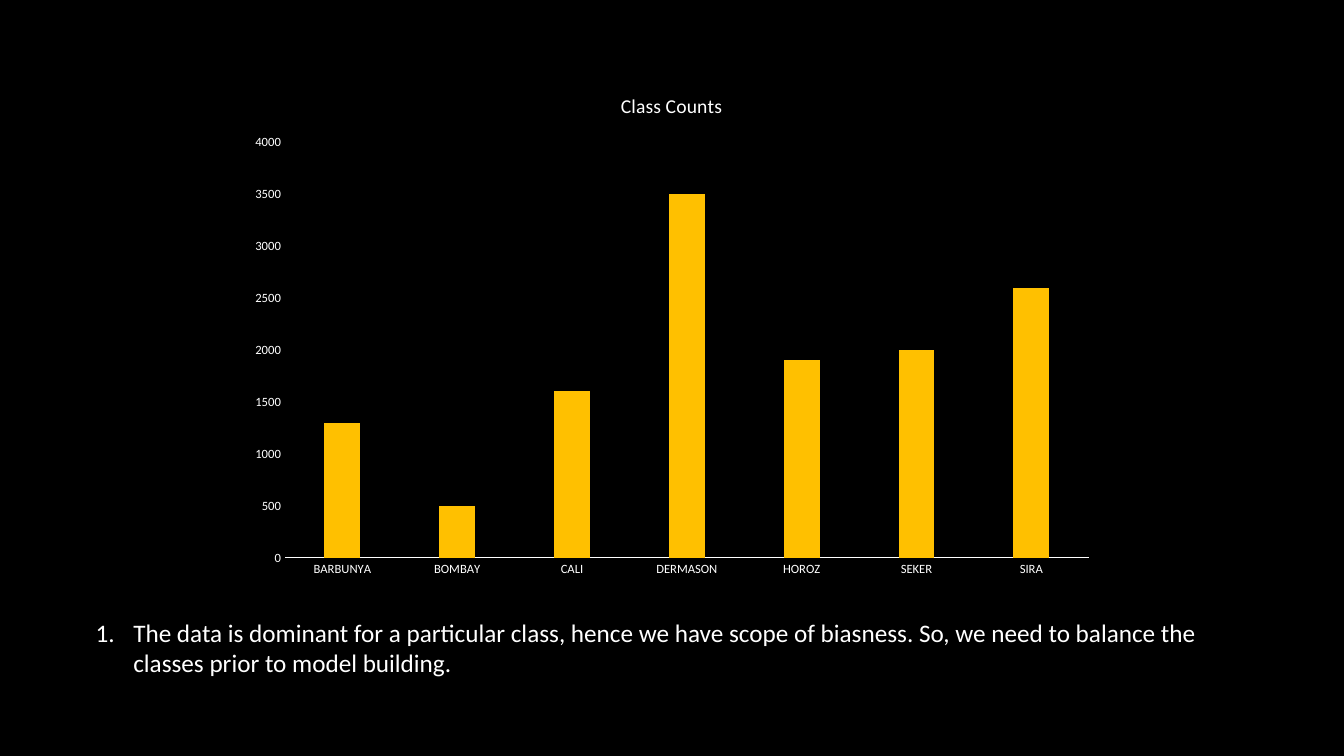
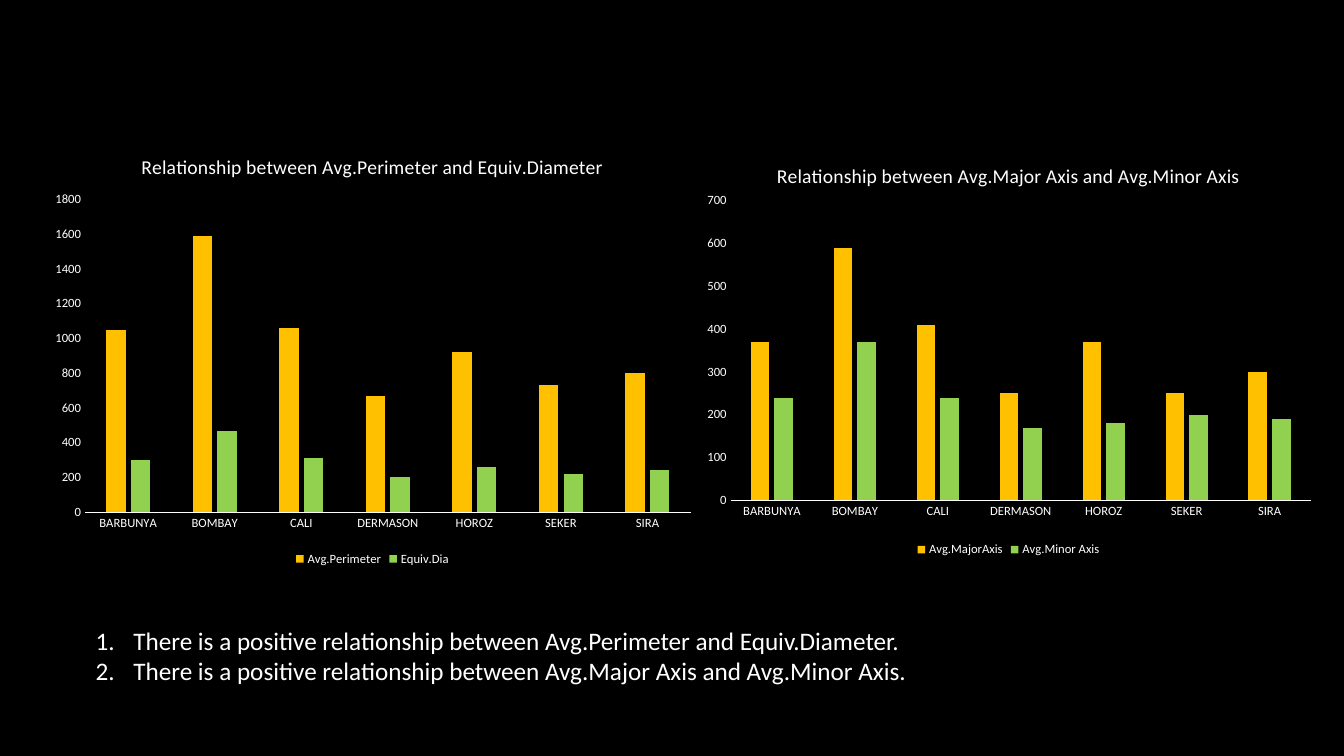
"""Build two dark slides of bean class charts with numbered findings."""
from dataclasses import dataclass

from lxml.etree import SubElement
from pptx import Presentation
from pptx.chart.chart import Chart
from pptx.chart.data import CategoryChartData
from pptx.dml.color import RGBColor
from pptx.enum.chart import XL_CHART_TYPE, XL_LEGEND_POSITION, XL_TICK_MARK
from pptx.oxml import parse_xml
from pptx.oxml.ns import nsdecls, qn
from pptx.slide import Slide
from pptx.text.text import Font
from pptx.util import Cm, Pt

BLACK = RGBColor(0x00, 0x00, 0x00)
WHITE = RGBColor(0xFF, 0xFF, 0xFF)
AMBER = RGBColor(0xFF, 0xC0, 0x00)
GREEN = RGBColor(0x92, 0xD0, 0x50)
SERIES_COLORS = (AMBER, GREEN)
FONT_NAME = "Calibri"
BEAN_CLASSES = ("BARBUNYA", "BOMBAY", "CALI", "DERMASON", "HOROZ", "SEKER", "SIRA")
NUMBER_INDENT = Cm(0.95)

Box = tuple[float, float, float, float]


@dataclass(frozen=True)
class BeanChart:
    """A column chart with its frame and plot area in slide centimetres."""

    title: str
    frame: Box
    plot: Box
    maximum: int
    step: int
    series: dict[str, tuple[int, ...]]

    def plot_fractions(self) -> Box:
        """Return the plot area relative to the frame."""
        left, top, width, height = self.frame
        plot_left, plot_top, plot_width, plot_height = self.plot
        return (
            (plot_left - left) / width, (plot_top - top) / height,
            plot_width / width, plot_height / height,
        )


@dataclass(frozen=True)
class ChartSlide:
    """Charts above a numbered list of findings."""

    charts: tuple[BeanChart, ...]
    findings: tuple[str, ...]
    findings_top: float


SLIDES = (
    ChartSlide(
        charts=(
            BeanChart(
                "Class Counts", (5.99, 1.83, 21.87, 12.98), (7.18, 3.58, 20.26, 10.48), 4000, 500,
                {"Series 1": (1300, 500, 1600, 3500, 1900, 2000, 2600)},
            ),
        ),
        findings=(
            "The data is dominant for a particular class, hence we have scope of biasness. "
            "So, we need to balance the classes prior to model building.",
        ),
        findings_top=15.42,
    ),
    ChartSlide(
        charts=(
            BeanChart(
                "Relationship between Avg.Perimeter and Equiv.Diameter",
                (1.04, 3.42, 16.69, 10.95), (2.14, 5.03, 15.27, 7.88), 1800, 200,
                {
                    "Avg.Perimeter": (1050, 1590, 1060, 670, 920, 730, 800),
                    "Equiv.Dia": (300, 470, 310, 200, 260, 220, 240),
                },
            ),
            BeanChart(
                "Relationship between Avg.Major Axis and Avg.Minor Axis",
                (17.4, 3.65, 16.03, 10.49), (18.41, 5.06, 14.63, 7.55), 700, 100,
                {
                    "Avg.MajorAxis": (370, 590, 410, 250, 370, 250, 300),
                    "Avg.Minor Axis": (240, 370, 240, 170, 180, 200, 190),
                },
            ),
        ),
        findings=(
            "There is a positive relationship between Avg.Perimeter and Equiv.Diameter.",
            "There is a positive relationship between Avg.Major Axis and Avg.Minor Axis.",
        ),
        findings_top=15.62,
    ),
)


def style_font(font: Font, size: int) -> None:
    """Apply the shared typeface and colour."""
    font.name = FONT_NAME
    font.size = Pt(size)
    font.bold = False
    font.color.rgb = WHITE


def set_plot_area(chart: Chart, fractions: Box) -> None:
    """Fix the inner plot area as fractions of the chart."""
    plot_area = chart.plots[0]._element.getparent()
    for layout in plot_area.findall(qn("c:layout")):
        plot_area.remove(layout)
    sizes = "".join(f'<c:{tag} val="{value:.4f}"/>' for tag, value in zip("xywh", fractions))
    plot_area.insert(0, parse_xml(
        f'<c:layout {nsdecls("c")}><c:manualLayout><c:layoutTarget val="inner"/>'
        f'<c:xMode val="edge"/><c:yMode val="edge"/>{sizes}</c:manualLayout></c:layout>'
    ))


def style_axes(chart: Chart, maximum: int, step: int) -> None:
    """Show plain axes without ticks or gridlines."""
    for axis in (chart.category_axis, chart.value_axis):
        axis.has_major_gridlines = False
        axis.major_tick_mark = XL_TICK_MARK.NONE
        axis.minor_tick_mark = XL_TICK_MARK.NONE
        style_font(axis.tick_labels.font, 9)
    category_line = chart.category_axis.format.line
    category_line.color.rgb = WHITE
    category_line.width = Pt(0.75)
    value_axis = chart.value_axis
    value_axis.format.line.fill.background()
    value_axis.minimum_scale = 0
    value_axis.maximum_scale = maximum
    value_axis.major_unit = step


def add_bean_chart(slide: Slide, bean_chart: BeanChart) -> None:
    """Add one clustered column chart."""
    data = CategoryChartData()
    data.categories = BEAN_CLASSES
    for name, values in bean_chart.series.items():
        data.add_series(name, values)
    frame = [Cm(length) for length in bean_chart.frame]
    chart = slide.shapes.add_chart(XL_CHART_TYPE.COLUMN_CLUSTERED, *frame, data).chart
    style_font(chart.font, 10)

    chart.has_title = True
    title = chart.chart_title
    title.include_in_layout = False
    title.text_frame.text = bean_chart.title
    style_font(title.text_frame.paragraphs[0].runs[0].font, 14)

    chart.has_legend = len(bean_chart.series) > 1
    if chart.has_legend:
        chart.legend.position = XL_LEGEND_POSITION.BOTTOM
        chart.legend.include_in_layout = False
        style_font(chart.legend.font, 9)

    plot = chart.plots[0]
    plot.gap_width = 219
    plot.overlap = -27
    plot.vary_by_categories = False
    for series, color in zip(plot.series, SERIES_COLORS):
        series.format.fill.solid()
        series.format.fill.fore_color.rgb = color
    style_axes(chart, bean_chart.maximum, bean_chart.step)
    set_plot_area(chart, bean_chart.plot_fractions())


def add_findings(slide: Slide, findings: tuple[str, ...], top: float) -> None:
    """Add the numbered list below the charts."""
    text_frame = slide.shapes.add_textbox(Cm(2.16), Cm(top), Cm(29.54), Cm(1.8)).text_frame
    text_frame.word_wrap = True
    text_frame.text = "\n".join(findings)
    for paragraph in text_frame.paragraphs:
        style_font(paragraph.runs[0].font, 18)
        properties = paragraph._p.get_or_add_pPr()
        properties.set("marL", str(NUMBER_INDENT))
        properties.set("indent", str(-NUMBER_INDENT))
        SubElement(properties, qn("a:buFont"), typeface="+mj-lt")
        SubElement(properties, qn("a:buAutoNum"), type="arabicPeriod")


def main() -> None:
    """Build and save the presentation."""
    presentation = Presentation()
    presentation.slide_width = Cm(33.87)
    presentation.slide_height = Cm(19.05)
    background = presentation.slide_master.background.fill
    background.solid()
    background.fore_color.rgb = BLACK
    blank_layout = presentation.slide_layouts[6]
    for chart_slide in SLIDES:
        slide = presentation.slides.add_slide(blank_layout)
        add_findings(slide, chart_slide.findings, chart_slide.findings_top)
        for bean_chart in chart_slide.charts:
            add_bean_chart(slide, bean_chart)
    presentation.save("out.pptx")


if __name__ == "__main__":
    main()
